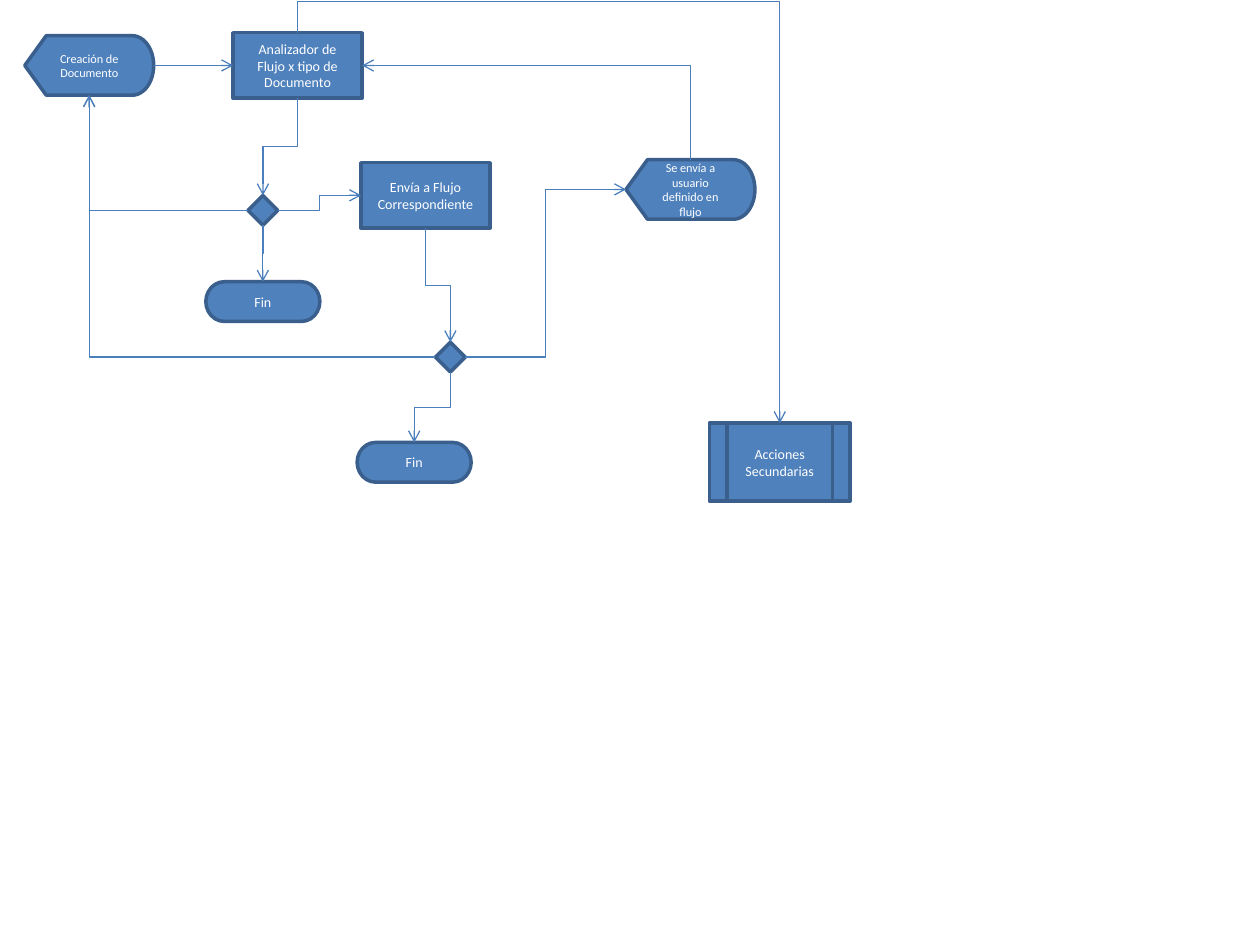
from typing import NamedTuple

from lxml.etree import SubElement
from pptx import Presentation
from pptx.dml.color import RGBColor
from pptx.enum.shapes import MSO_CONNECTOR, MSO_SHAPE
from pptx.enum.text import MSO_ANCHOR, PP_ALIGN
from pptx.oxml.ns import qn
from pptx.util import Cm, Pt

BLUE = RGBColor(0x4F, 0x81, 0xBD)
EDGE = RGBColor(0x3A, 0x5F, 0x8C)
WIRE = RGBColor(0x4B, 0x7E, 0xBC)
WHITE = RGBColor(0xFF, 0xFF, 0xFF)

# Connection sites, shared by all the flowchart shapes
TOP, LEFT, BOTTOM, RIGHT = range(4)


class Kind(NamedTuple):
    shape: MSO_SHAPE
    width: float
    height: float
    size: float = 8


class Node(NamedTuple):
    kind: Kind
    left: float
    top: float
    text: str = ""


class Link(NamedTuple):
    start: str
    exit: int
    end: str
    entry: int
    bend: float = 0.5


SCREEN = Kind(MSO_SHAPE.FLOWCHART_DISPLAY, 2.6, 1.2, 7)
STEP = Kind(MSO_SHAPE.FLOWCHART_PROCESS, 2.6, 1.32)
CHOICE = Kind(MSO_SHAPE.FLOWCHART_DECISION, 0.6, 0.6)
FINISH = Kind(MSO_SHAPE.FLOWCHART_TERMINATOR, 2.3, 0.8)
ROUTINE = Kind(MSO_SHAPE.FLOWCHART_PREDEFINED_PROCESS, 2.84, 1.57)

NODES = {
    "create": Node(SCREEN, 0.5, 0.72, "Creación de Documento"),
    "parse": Node(STEP, 4.7, 0.66, "Analizador de Flujo x tipo de Documento"),
    "check": Node(CHOICE, 5, 3.94),
    "send": Node(STEP, 7.28, 3.28, "Envía a Flujo Correspondiente"),
    "user": Node(SCREEN, 12.62, 3.22, "Se envía a usuario definido en flujo"),
    "route": Node(CHOICE, 8.78, 6.9),
    "stop": Node(FINISH, 7.2, 8.92, "Fin"),
    "extra": Node(ROUTINE, 14.3, 8.53, "Acciones Secundarias"),
    "halt": Node(FINISH, 4.15, 5.68, "Fin"),
}

LINKS = [
    Link("create", RIGHT, "parse", LEFT),
    Link("check", RIGHT, "send", LEFT),
    Link("parse", BOTTOM, "check", TOP),
    Link("route", RIGHT, "user", LEFT),
    Link("send", BOTTOM, "route", TOP),
    Link("route", LEFT, "create", BOTTOM),
    Link("route", BOTTOM, "stop", TOP),
    Link("user", TOP, "parse", RIGHT),
    Link("parse", TOP, "extra", TOP, -0.08),
    Link("check", BOTTOM, "halt", TOP),
    Link("check", LEFT, "create", BOTTOM),
]


def write(box, text: str, *, size: float, color=WHITE, font="Calibri") -> None:
    frame = box.text_frame
    frame.word_wrap = True
    frame.vertical_anchor = MSO_ANCHOR.MIDDLE
    para = frame.paragraphs[0]
    para.alignment = PP_ALIGN.CENTER
    run = para.add_run()
    run.text = text
    run.font.size = Pt(size)
    run.font.name = font
    run.font.color.rgb = color


def draw(slide, node: Node):
    kind = node.kind
    box = slide.shapes.add_shape(kind.shape, Cm(node.left), Cm(node.top),
                                 Cm(kind.width), Cm(kind.height))
    box.shadow.inherit = False
    box.fill.solid()
    box.fill.fore_color.rgb = BLUE
    box.line.color.rgb = EDGE
    box.line.width = Pt(2)
    if node.text:
        write(box, node.text, size=kind.size)
    return box


def site(box, side: int) -> tuple[int, int]:
    mid_x, mid_y = box.left + box.width // 2, box.top + box.height // 2
    return {TOP: (mid_x, box.top), LEFT: (box.left, mid_y),
            BOTTOM: (mid_x, box.top + box.height),
            RIGHT: (box.left + box.width, mid_y)}[side]


def join(slide, link: Link, boxes: dict) -> None:
    start, end = boxes[link.start], boxes[link.end]
    (x1, y1), (x2, y2) = site(start, link.exit), site(end, link.entry)
    wire = slide.shapes.add_connector(MSO_CONNECTOR.ELBOW, x1, y1, x2, y2)
    wire.begin_connect(start, link.exit)
    wire.end_connect(end, link.entry)
    wire.line.color.rgb = WIRE
    wire.line.width = Pt(0.75)

    # An elbow leaves sideways, so one that leaves up or down is turned
    upright = link.exit in (TOP, BOTTOM)
    wide, high = abs(x2 - x1), abs(y2 - y1)
    flip_h, flip_v = x2 < x1, y2 < y1
    if upright:
        wide, high = high, wide
        flip_h, flip_v = y2 < y1, x2 > x1
    wire.left, wire.top = (x1 + x2 - wide) // 2, (y1 + y2 - high) // 2
    wire.width, wire.height = wide, high
    props = wire._element.spPr
    frame = props.find(qn("a:xfrm"))
    frame.set("rot", "5400000" if upright else "0")
    frame.set("flipH", str(int(flip_h)))
    frame.set("flipV", str(int(flip_v)))

    # One corner between crossing sides, two between parallel ones
    shape = props.find(qn("a:prstGeom"))
    if link.exit % 2 != link.entry % 2:
        shape.set("prst", "bentConnector2")
    else:
        guides = shape.find(qn("a:avLst"))
        if guides is None:
            guides = SubElement(shape, qn("a:avLst"))
        SubElement(guides, qn("a:gd"), name="adj1",
                   fmla=f"val {round(link.bend * 100000)}")

    # Arrowhead, and no shadow
    SubElement(props.find(qn("a:ln")), qn("a:tailEnd"), type="arrow")
    SubElement(props, qn("a:effectLst"))


deck = Presentation()
deck.slide_width, deck.slide_height = Cm(25.4), Cm(19.05)
slide = deck.slides.add_slide(deck.slide_layouts[6])
boxes = {name: draw(slide, node) for name, node in NODES.items()}
for link in LINKS:
    join(slide, link, boxes)
deck.save("out.pptx")
